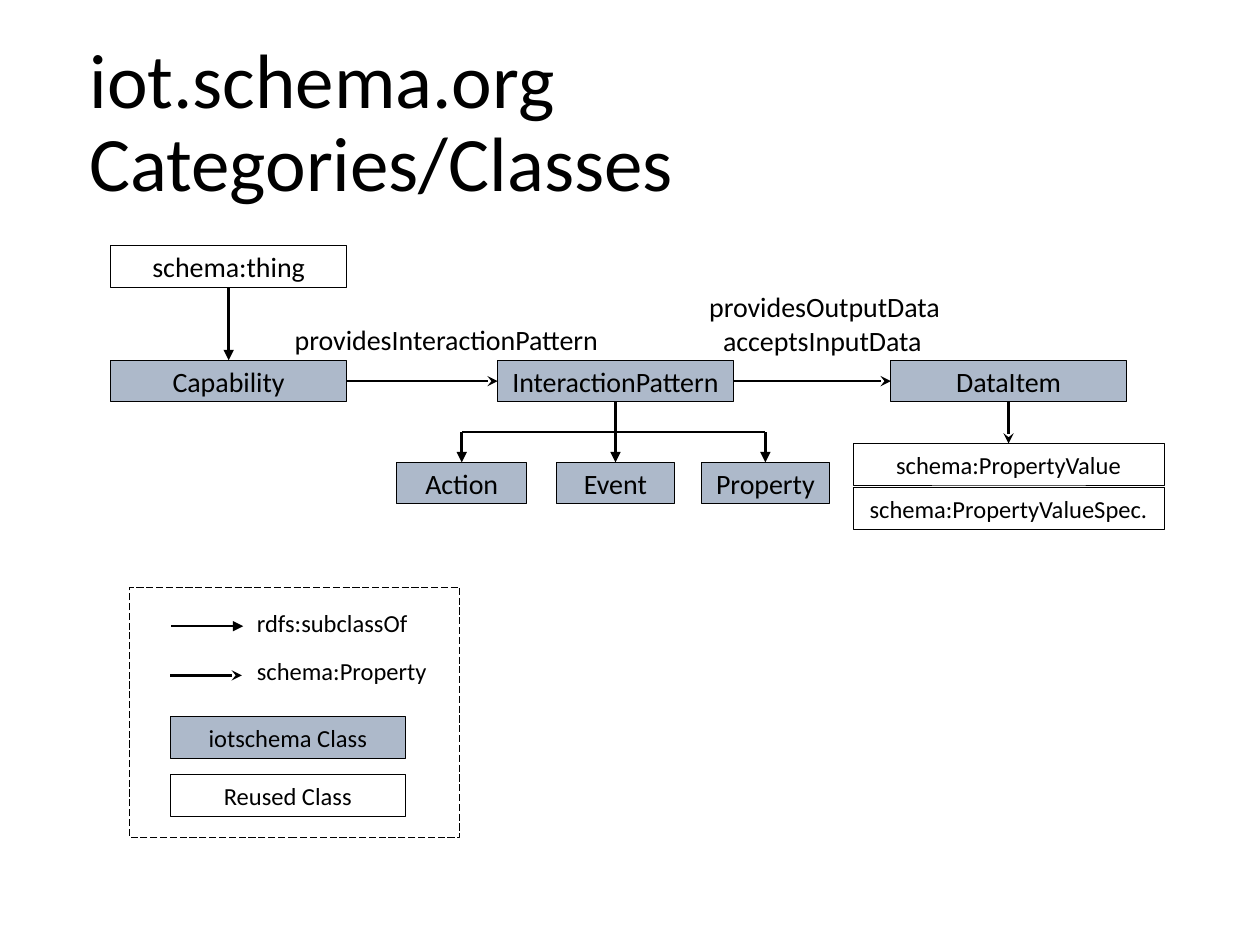
"""Build the iot.schema.org class diagram slide."""
from dataclasses import dataclass

import pptx
import pptx.dml.color
import pptx.enum.dml
import pptx.enum.shapes
import pptx.enum.text
import pptx.oxml
import pptx.oxml.ns
import pptx.util
from pptx.util import Inches

FONT = "Calibri"
BLACK = "000000"
WHITE = "FFFFFF"
IOT_FILL = "ADB9CA"
BOX_HEIGHT = 0.33
CLASS_WIDTH = 1.87
SCHEMA_WIDTH = 2.47
CLASS_TOP = 2.86
SUBCLASS_TOP = 3.67
BRANCH_TOP = 3.43
SUBCLASS_OF = "triangle"
PROPERTY = "stealth"


@dataclass
class ClassBox:
    name: str
    left: float
    top: float
    width: float = CLASS_WIDTH
    fill: str | None = IOT_FILL
    size: int = 16

    @property
    def center(self) -> float:
        return self.left + self.width / 2

    @property
    def right(self) -> float:
        return self.left + self.width

    @property
    def bottom(self) -> float:
        return self.top + BOX_HEIGHT

    @property
    def middle(self) -> float:
        return self.top + BOX_HEIGHT / 2


@dataclass
class Label:
    text: str
    left: float
    top: float
    width: float
    height: float = 0.37
    size: int = 16


@dataclass
class Link:
    start: tuple[float, float]
    end: tuple[float, float]
    head: str | None = None


def color(hex_code: str) -> pptx.dml.color.RGBColor:
    return pptx.dml.color.RGBColor.from_string(hex_code)


def write(frame, text: str, *, size: int, align: str = "LEFT", anchor: str = "TOP",
          wrap: bool = True, spacing: float | None = None) -> None:
    frame.word_wrap = wrap
    frame.auto_size = pptx.enum.text.MSO_AUTO_SIZE.NONE
    frame.vertical_anchor = pptx.enum.text.MSO_ANCHOR[anchor]
    paragraph = frame.paragraphs[0]
    paragraph.alignment = pptx.enum.text.PP_ALIGN[align]
    if spacing:
        paragraph.line_spacing = spacing
    run = paragraph.add_run()
    run.text = text
    run.font.name = FONT
    run.font.size = pptx.util.Pt(size)
    run.font.color.rgb = color(BLACK)


def draw_rectangle(slide, left: float, top: float, width: float, height: float,
                   fill: str | None = None):
    rectangle = slide.shapes.add_shape(
        pptx.enum.shapes.MSO_SHAPE.RECTANGLE,
        Inches(left), Inches(top), Inches(width), Inches(height))
    rectangle.shadow.inherit = False
    if fill:
        rectangle.fill.solid()
        rectangle.fill.fore_color.rgb = color(fill)
    else:
        rectangle.fill.background()
    rectangle.line.color.rgb = color(BLACK)
    rectangle.line.width = pptx.util.Pt(0.5)
    return rectangle


def draw_class(slide, box: ClassBox) -> None:
    frame = draw_rectangle(slide, box.left, box.top, box.width, BOX_HEIGHT, box.fill).text_frame
    frame.margin_left = frame.margin_right = Inches(0.05)
    write(frame, box.name, size=box.size, align="CENTER", anchor="MIDDLE")


def draw_label(slide, label: Label) -> None:
    area = slide.shapes.add_textbox(
        Inches(label.left), Inches(label.top), Inches(label.width), Inches(label.height))
    write(area.text_frame, label.text, size=label.size, wrap=False)


def draw_link(slide, link: Link) -> None:
    connector = slide.shapes.add_connector(
        pptx.enum.shapes.MSO_CONNECTOR.STRAIGHT,
        *(Inches(value) for value in (*link.start, *link.end)))
    connector.line.color.rgb = color(BLACK)
    connector.line.width = pptx.util.Pt(1.5)
    if link.head:
        tail = pptx.oxml.parse_xml(f'<a:tailEnd {pptx.oxml.ns.nsdecls("a")} type="{link.head}"/>')
        connector.line._get_or_add_ln().append(tail)
    connector._element.spPr.append(
        pptx.oxml.parse_xml(f'<a:effectLst {pptx.oxml.ns.nsdecls("a")}/>'))


def main() -> None:
    presentation = pptx.Presentation()
    presentation.slide_width = Inches(10)
    presentation.slide_height = Inches(7.5)
    slide = presentation.slides.add_slide(presentation.slide_layouts[5])

    title = slide.shapes.title
    title.left, title.top = Inches(0.61), Inches(0.27)
    title.width, title.height = Inches(8.62), Inches(1.45)
    write(title.text_frame, "iot.schema.org Categories/Classes",
          size=44, anchor="MIDDLE", spacing=0.9)

    thing = ClassBox("schema:thing", 0.88, 1.95, fill=None)
    capability = ClassBox("Capability", 0.88, CLASS_TOP)
    interaction = ClassBox("InteractionPattern", 3.95, CLASS_TOP)
    data_item = ClassBox("DataItem", 7.07, CLASS_TOP)
    subclasses = [
        ClassBox("Action", 3.15, SUBCLASS_TOP, 1.03),
        ClassBox("Event", 4.42, SUBCLASS_TOP, 0.93),
        ClassBox("Property", 5.57, SUBCLASS_TOP, 1.01),
    ]
    values = [
        ClassBox("schema:PropertyValue", 6.77, 3.52, SCHEMA_WIDTH, WHITE, 14),
        ClassBox("schema:PropertyValueSpec.", 6.77, 3.87, SCHEMA_WIDTH, WHITE, 14),
    ]
    legend_classes = [
        ClassBox("iotschema Class", 1.35, 5.69, size=14),
        ClassBox("Reused Class", 1.35, 6.15, fill=None, size=14),
    ]
    labels = [
        Label("acceptsInputData", 5.64, 2.52, 1.8),
        Label("providesOutputData", 5.53, 2.25, 2.06),
        Label("providesInteractionPattern", 2.24, 2.51, 2.65),
        Label("rdfs:subclassOf", 1.94, 4.78, 1.41, 0.34, 14),
        Label("schema:Property", 1.94, 5.16, 1.56, 0.34, 14),
    ]
    links = [
        Link((thing.center, thing.bottom), (capability.center, capability.top), SUBCLASS_OF),
        Link((capability.right, capability.middle), (interaction.left, interaction.middle),
             PROPERTY),
        Link((interaction.right, interaction.middle), (data_item.left, data_item.middle),
             PROPERTY),
        Link((data_item.center, data_item.bottom), (data_item.center, values[0].top), PROPERTY),
        Link((interaction.center, BRANCH_TOP), (interaction.center, interaction.bottom)),
        Link((subclasses[-1].center, BRANCH_TOP), (subclasses[0].center, BRANCH_TOP)),
        *(Link((box.center, BRANCH_TOP), (box.center, box.top), SUBCLASS_OF)
          for box in subclasses),
        Link((1.36, 4.97), (1.93, 4.97), SUBCLASS_OF),
        Link((1.35, 5.36), (1.92, 5.36), PROPERTY),
    ]

    legend = draw_rectangle(slide, 1.03, 4.66, 2.62, 1.99)
    legend.line.dash_style = pptx.enum.dml.MSO_LINE.LONG_DASH
    for box in [thing, capability, interaction, data_item, *subclasses, *values, *legend_classes]:
        draw_class(slide, box)
    for label in labels:
        draw_label(slide, label)
    for link in links:
        draw_link(slide, link)

    presentation.save("out.pptx")


if __name__ == "__main__":
    main()
